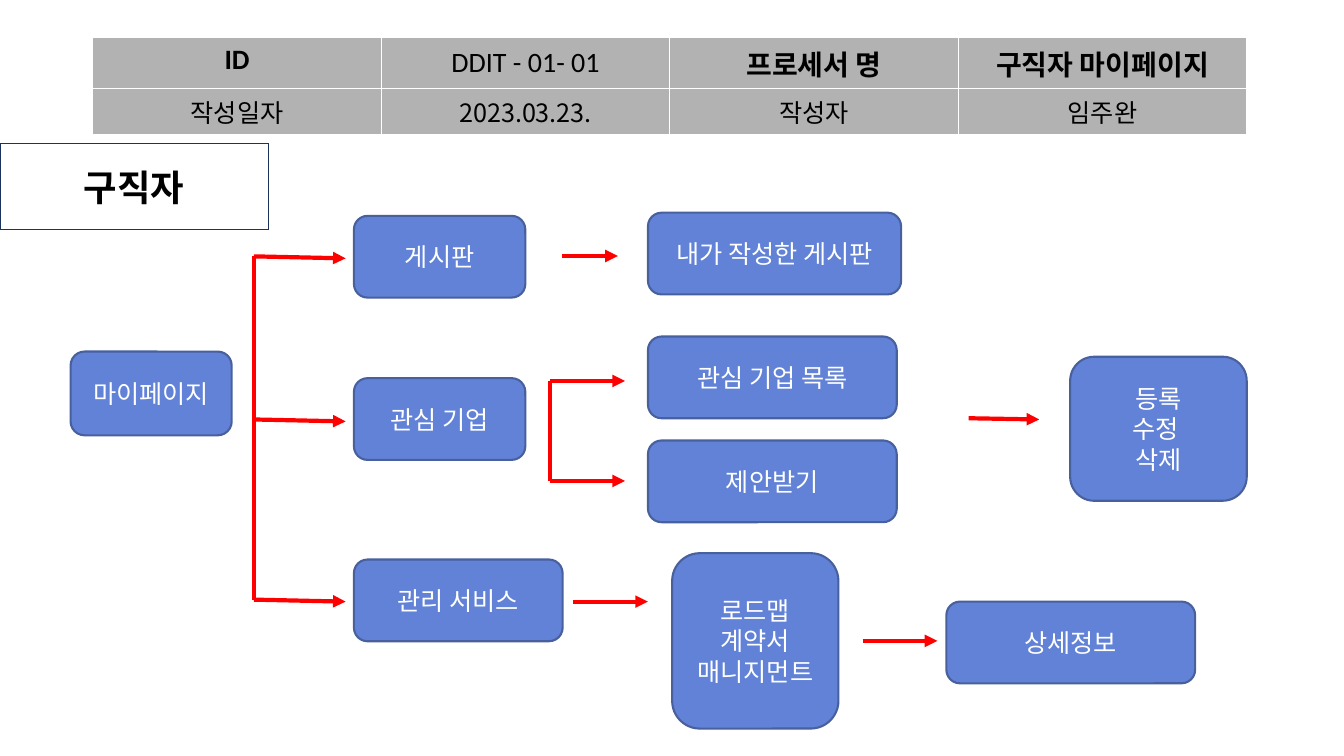
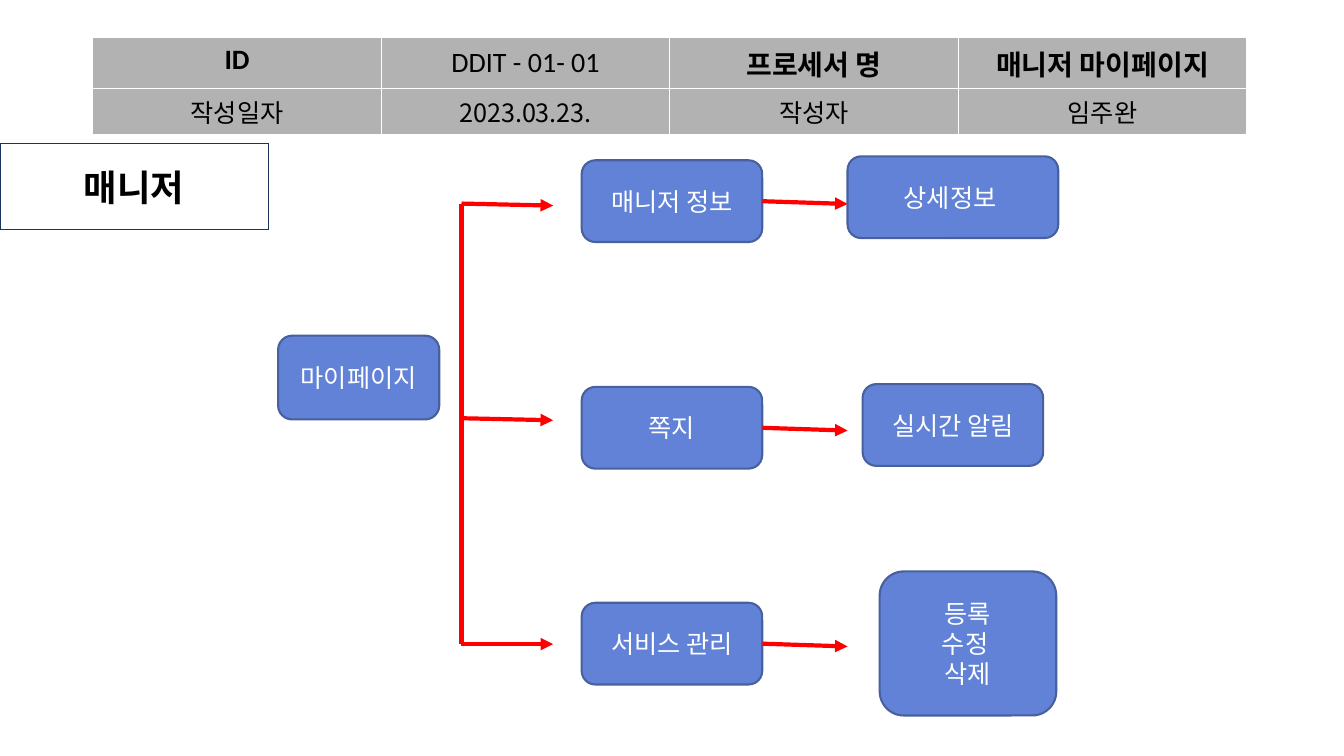
from lxml import etree
from pptx import Presentation
from pptx import util as u
from pptx.dml.color import RGBColor
from pptx.enum import shapes, text
from pptx.oxml import ns

BLACK = RGBColor(0x00, 0x00, 0x00)
WHITE = RGBColor(0xFF, 0xFF, 0xFF)
HEADER_GRAY = RGBColor(0xB2, 0xB2, 0xB2)
STEP_BLUE = RGBColor(0x61, 0x82, 0xD6)
STEP_EDGE = RGBColor(0x48, 0x60, 0x9E)
ROLE_EDGE = RGBColor(0x1C, 0x33, 0x5D)
FLOW_RED = RGBColor(0xFF, 0x00, 0x00)

KOREAN = "Noto Sans CJK KR"
LATIN = "Calibri"
STEP_HEIGHT = 2.06


def write(frame, content, size=18, color=WHITE, bold=False, font=KOREAN,
          anchor=text.MSO_ANCHOR.MIDDLE):
    frame.word_wrap = True
    frame.vertical_anchor = anchor
    for index, line in enumerate(content.split("\n")):
        paragraph = frame.add_paragraph() if index else frame.paragraphs[0]
        paragraph.alignment = text.PP_ALIGN.CENTER
        run = paragraph.add_run()
        run.text = line
        run.font.size = u.Pt(size)
        run.font.bold = bold
        run.font.name = font
        run.font.color.rgb = color
        east_asian = etree.SubElement(run.font._element, ns.qn("a:ea"))
        east_asian.set("typeface", KOREAN)


def paint(shape, fill, edge, width):
    shape.fill.solid()
    shape.fill.fore_color.rgb = fill
    shape.line.color.rgb = edge
    shape.line.width = u.Pt(width)


def border_cell(cell):
    properties = cell._tc.get_or_add_tcPr()
    for side in ("lnL", "lnR", "lnT", "lnB"):
        border = etree.SubElement(properties, ns.qn(f"a:{side}"), w=str(u.Pt(1)))
        fill = etree.SubElement(border, ns.qn("a:solidFill"))
        etree.SubElement(fill, ns.qn("a:srgbClr"), val=str(WHITE))


def add_header(slide, process):
    rows = (
        ("ID", "DDIT - 01- 01", "프로세서 명", process),
        ("작성일자", "2023.03.23.", "작성자", "임주완"),
    )
    header = slide.shapes.add_table(
        2, 4, u.Cm(2.34), u.Cm(0.95), u.Cm(29.1), u.Cm(2.14)).table
    for column in header.columns:
        column.width = u.Cm(7.27)
    for row, height in zip(header.rows, (1.1, 1.04)):
        row.height = u.Cm(height)
    for r, row in enumerate(rows):
        for c, label in enumerate(row):
            cell = header.cell(r, c)
            border_cell(cell)
            cell.fill.solid()
            cell.fill.fore_color.rgb = HEADER_GRAY
            is_code = (r, c) == (0, 1)
            style = dict(size=18) if r else dict(size=20, font=LATIN, bold=not is_code)
            write(cell.text_frame, label, color=BLACK, **style)
            cell.vertical_anchor = (
                text.MSO_ANCHOR.MIDDLE if is_code else text.MSO_ANCHOR.TOP)
            if is_code:
                cell.margin_left = cell.margin_right = 0
                cell.margin_top = cell.margin_bottom = 0


def add_role(slide, role):
    title = slide.shapes.title
    title.left, title.top = u.Cm(0), u.Cm(3.61)
    title.width, title.height = u.Cm(6.76), u.Cm(2.18)
    paint(title, WHITE, ROLE_EDGE, 0)
    title.text_frame.auto_size = text.MSO_AUTO_SIZE.NONE
    write(title.text_frame, role, size=26, color=BLACK, bold=True)


def add_step(slide, label, left, top, width, height=STEP_HEIGHT):
    step = slide.shapes.add_shape(
        shapes.MSO_SHAPE.ROUNDED_RECTANGLE,
        u.Cm(left), u.Cm(top), u.Cm(width), u.Cm(height))
    step.shadow.inherit = False
    paint(step, STEP_BLUE, STEP_EDGE, 1.5)
    write(step.text_frame, label)
    return step


def add_flow(slide, x1, y1, x2, y2, arrow=True, source=None):
    flow = slide.shapes.add_connector(
        shapes.MSO_CONNECTOR.STRAIGHT, u.Cm(x1), u.Cm(y1), u.Cm(x2), u.Cm(y2))
    if source is not None:
        flow.begin_connect(source, 3)
    flow.line.color.rgb = FLOW_RED
    flow.line.width = u.Pt(3)
    if arrow:
        etree.SubElement(flow.line._get_or_add_ln(), ns.qn("a:tailEnd"), type="triangle")
    etree.SubElement(flow._element.spPr, ns.qn("a:effectLst"))


def add_fork(slide, trunk, tip, branches):
    add_flow(slide, trunk, branches[0][0], trunk, branches[-1][0], arrow=False)
    for start, end in branches:
        add_flow(slide, trunk, start, tip, end)


def start_slide(deck, role):
    slide = deck.slides.add_slide(deck.slide_layouts[5])
    add_role(slide, role)
    add_header(slide, f"{role} 마이페이지")
    return slide


def build_job_seeker(deck):
    slide = start_slide(deck, "구직자")
    for step in (
        ("마이페이지", 1.78, 8.86, 4.06, 2.11),
        ("게시판", 8.92, 5.44, 4.32),
        ("관심 기업", 8.92, 9.53, 4.32),
        ("관리 서비스", 8.92, 14.1, 5.26),
        ("내가 작성한 게시판", 16.33, 5.36, 6.38),
        ("관심 기업 목록", 16.33, 8.48, 6.27),
        ("제안받기", 16.33, 11.1, 6.27),
        ("로드맵\n계약서\n매니지먼트", 16.94, 13.94, 4.19, 4.42),
        ("등록\n수정 \n삭제", 26.97, 8.99, 4.45, 3.63),
        ("상세정보", 23.85, 15.16, 6.27),
    ):
        add_step(slide, *step)
    add_fork(slide, 6.4, 8.71, ((6.46, 6.51), (10.57, 10.62), (15.11, 15.16)))
    add_fork(slide, 13.87, 15.75, ((9.6, 9.6), (12.12, 12.12)))
    for flow in (
        (14.17, 6.45, 15.57, 6.45),
        (24.41, 10.54, 26.19, 10.57),
        (14.43, 15.16, 16.33, 15.16),
        (21.74, 16.15, 23.62, 16.15),
    ):
        add_flow(slide, *flow)


def build_manager(deck):
    slide = start_slide(deck, "매니저")
    add_step(slide, "마이페이지", 7.01, 8.46, 4.06, 2.11)
    add_fork(slide, 11.63, 13.94, ((5.13, 5.18), (10.54, 10.59), (16.23, 16.23)))
    left, width = 14.66, 4.55
    for menu, top, result in (
        ("매니저 정보", 4.04, ("상세정보 ", 21.36, 3.94, 5.31)),
        ("쪽지", 9.75, ("실시간 알림", 21.74, 9.68, 4.55)),
        ("서비스 관리", 15.19, ("등록\n수정 \n삭제", 22.17, 14.4, 4.45, 3.63)),
    ):
        source = add_step(slide, menu, left, top, width)
        add_step(slide, *result)
        middle = top + STEP_HEIGHT / 2
        add_flow(slide, left + width, middle, 21.36, middle + 0.07, source=source)


def main():
    deck = Presentation()
    deck.slide_width, deck.slide_height = u.Cm(33.87), u.Cm(19.05)
    build_job_seeker(deck)
    build_manager(deck)
    deck.save("out.pptx")


if __name__ == "__main__":
    main()
